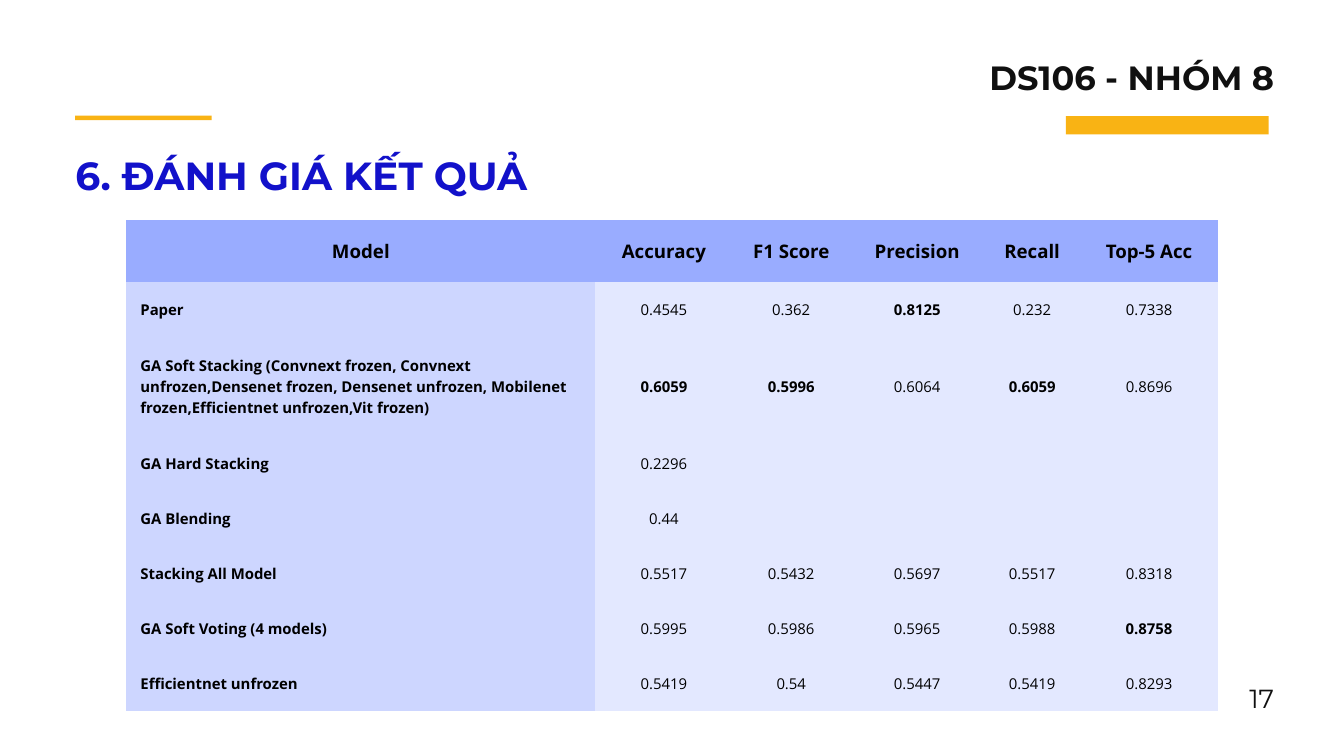
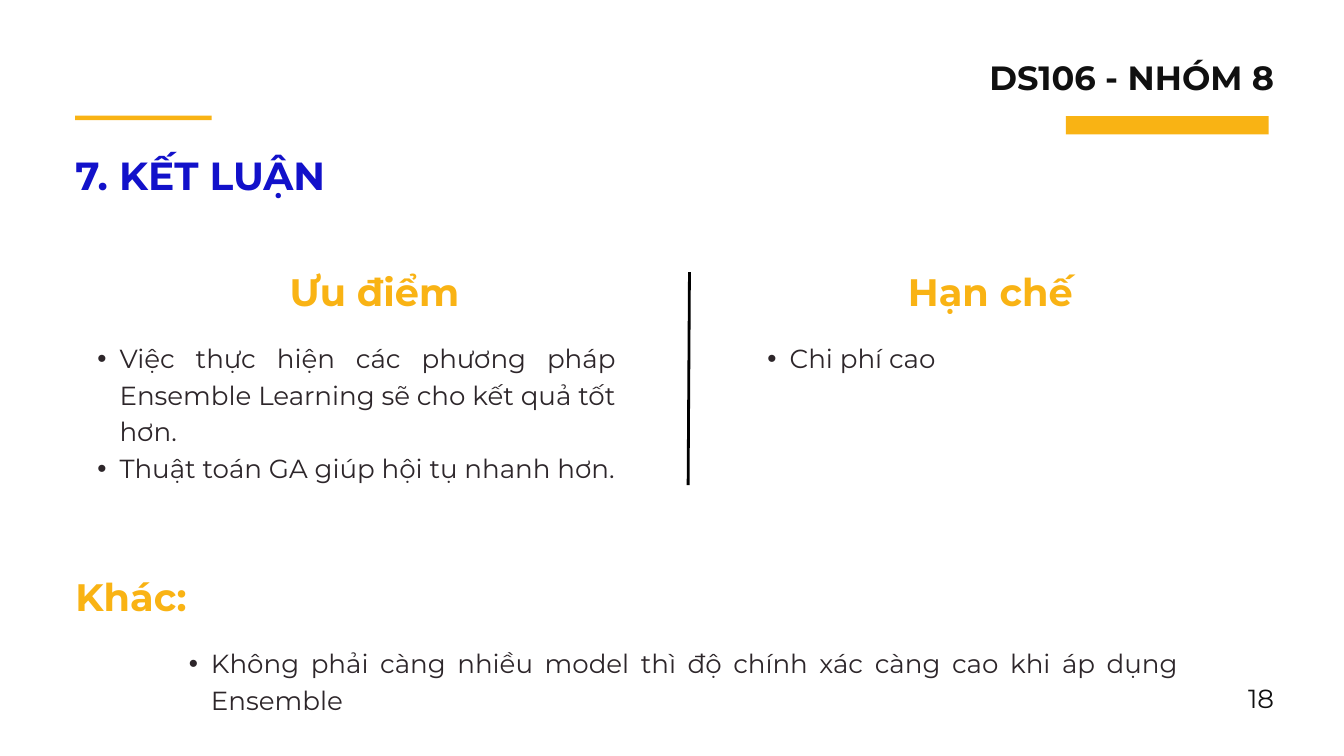
from collections import namedtuple

from lxml.etree import SubElement
from pptx import Presentation
from pptx.dml.color import RGBColor
from pptx.enum.shapes import MSO_CONNECTOR, MSO_SHAPE
from pptx.enum.text import MSO_ANCHOR, PP_ALIGN as ALIGN
from pptx.oxml.ns import qn
from pptx.util import Pt

PX = 9144  # 100 px to the inch
Box = namedtuple("Box", "left top width height")
PAGE = Box(0, 0, 2000, 1125)

WHITE = RGBColor(0xFF, 0xFF, 0xFF)
BLACK = RGBColor(0x00, 0x00, 0x00)
INK = RGBColor(0x10, 0x10, 0x10)
BODY_INK = RGBColor(0x2D, 0x26, 0x2A)
TITLE_BLUE = RGBColor(0x12, 0x11, 0xCA)
AMBER = RGBColor(0xF9, 0xB3, 0x14)
HEADER_FILL = RGBColor(0x99, 0xAC, 0xFF)
MODEL_FILL = RGBColor(0xCD, 0xD6, 0xFF)
SCORE_FILL = RGBColor(0xE3, 0xE8, 0xFF)

TEXT_FONT = "Montserrat"
TABLE_FONT = "Open Sans"
GROUP_NAME = "DS106 - NHÓM 8"
PLAIN_TABLE_STYLE = "{2D5ABB26-0587-4C30-8999-92F81FD0307C}"

COLUMN_WIDTHS = (698, 204, 175, 200, 142, 206)
HEADER_HEIGHT, ROW_HEIGHT, TALL_ROW_HEIGHT = 92, 82, 146
CELL_MARGIN = 21
COLUMN_NAMES = ("Model", "Accuracy", "F1 Score", "Precision", "Recall", "Top-5 Acc")
STACKING = ("GA Soft Stacking (Convnext frozen, Convnext unfrozen,Densenet frozen, "
            "Densenet unfrozen, Mobilenet frozen,Efficientnet unfrozen,Vit frozen)")
RESULTS = (
    ("Paper", "0.4545", "0.362", "0.8125", "0.232", "0.7338"),
    (STACKING, "0.6059", "0.5996", "0.6064", "0.6059", "0.8696"),
    ("GA Hard Stacking", "0.2296", "", "", "", ""),
    ("GA Blending", "0.44", "", "", "", ""),
    ("Stacking All Model", "0.5517", "0.5432", "0.5697", "0.5517", "0.8318"),
    ("GA Soft Voting (4 models)", "0.5995", "0.5986", "0.5965", "0.5988", "0.8758"),
    ("Efficientnet unfrozen", "0.5419", "0.54", "0.5447", "0.5419", "0.8293"),
)


def to_emu(lengths):
    return [length * PX for length in lengths]


def add_bullet(para):
    properties = para._p.get_or_add_pPr()
    properties.set("lvl", "1")
    properties.set("marL", str(66 * PX))
    properties.set("indent", str(-33 * PX))
    SubElement(properties, qn("a:buFont")).set("typeface", "Arial")
    SubElement(properties, qn("a:buChar")).set("char", "•")


def write(frame, *lines, size, color, spacing, font=TEXT_FONT, bold=False,
          align=ALIGN.LEFT, bullet=False):
    """Fill a text frame with one paragraph per line; spacing is in points."""
    for index, line in enumerate(lines):
        para = frame.add_paragraph() if index else frame.paragraphs[0]
        para.alignment = align
        para.line_spacing = Pt(spacing)
        if bullet:
            add_bullet(para)
        span = para.add_run()
        span.text = line
        span.font.name = font
        span.font.size = Pt(size)
        span.font.bold = bold
        span.font.color.rgb = color


def add_text(page, box, *lines, **text_format):
    frame = page.shapes.add_textbox(*to_emu(box)).text_frame
    frame.word_wrap = True
    frame.margin_left = frame.margin_top = frame.margin_right = frame.margin_bottom = 0
    write(frame, *lines, **text_format)


def add_bar(page, box):
    bar = page.shapes.add_shape(MSO_SHAPE.RECTANGLE, *to_emu(box))
    bar.shadow.inherit = False
    bar.fill.solid()
    bar.fill.fore_color.rgb = AMBER
    bar.line.fill.background()


def add_page(deck, title, number):
    """Add a page with its bars, group name, title and page number."""
    page = deck.slides.add_slide(deck.slide_layouts[6])
    page.background.fill.solid()
    page.background.fill.fore_color.rgb = WHITE
    left, right = PAGE.left + 112, PAGE.width - 104
    add_bar(page, Box(left, 172, 203, 7))
    add_bar(page, Box(right - 310, 173, 302, 27))
    add_text(page, Box(right - 511, 75, 511, 67), GROUP_NAME, size=36, color=INK,
             spacing=50.4, bold=True, align=ALIGN.RIGHT)
    add_text(page, Box(left, 241, 942, 58), title, size=42, color=TITLE_BLUE,
             spacing=39.5, bold=True)
    add_text(page, Box(right - 248, PAGE.height - 118, 248, 52), str(number), size=28,
             color=INK, spacing=39.2, align=ALIGN.RIGHT)
    return page


def fill_cell(cell, text, fill, **text_format):
    cell.fill.solid()
    cell.fill.fore_color.rgb = fill
    cell.vertical_anchor = MSO_ANCHOR.MIDDLE
    cell.margin_left = cell.margin_right = CELL_MARGIN * PX
    cell.margin_top = cell.margin_bottom = CELL_MARGIN * PX
    if text:
        write(cell.text_frame, text, font=TABLE_FONT, color=BLACK, **text_format)


def add_results_table(page, box):
    """Draw the score table, with the best score of each column in bold."""
    table = page.shapes.add_table(
        len(RESULTS) + 1, len(COLUMN_NAMES), *to_emu(box)).table
    table.first_row = table.horz_banding = False
    table._tbl.tblPr.find(qn("a:tableStyleId")).text = PLAIN_TABLE_STYLE
    for column, width in zip(table.columns, COLUMN_WIDTHS):
        column.width = width * PX
    table.rows[0].height = HEADER_HEIGHT * PX

    for index, name in enumerate(COLUMN_NAMES):
        fill_cell(table.cell(0, index), name, HEADER_FILL, size=20, spacing=28,
                  bold=True, align=ALIGN.CENTER)
    best = [max(scores) for scores in zip(*RESULTS)]
    for row, (model, *scores) in enumerate(RESULTS, start=1):
        height = TALL_ROW_HEIGHT if model == STACKING else ROW_HEIGHT
        table.rows[row].height = height * PX
        fill_cell(table.cell(row, 0), model, MODEL_FILL, size=16, spacing=22.4, bold=True)
        for column, score in enumerate(scores, start=1):
            fill_cell(table.cell(row, column), score, SCORE_FILL, size=16, spacing=22.4,
                      bold=score == best[column], align=ALIGN.CENTER)


def add_points(page, box, heading, *points, heading_shift):
    """Draw a heading, shifted sideways from the box, above its bullet points."""
    heading_height, step = 56, 88
    add_text(page, Box(box.left + heading_shift, box.top, 268, heading_height), heading,
             size=41, color=AMBER, spacing=38.5, bold=True)
    add_text(page, Box(box.left, box.top + step, box.width, box.height - step), *points,
             size=28, color=BODY_INK, spacing=39.2, align=ALIGN.JUSTIFY, bullet=True)


def add_divider(page, start, end):
    divider = page.shapes.add_connector(MSO_CONNECTOR.STRAIGHT, *to_emu(start + end))
    divider.line.color.rgb = BLACK
    divider.line.width = Pt(3)
    SubElement(divider._element.spPr, qn("a:effectLst"))


def add_conclusion(page):
    add_points(page, Box(112, 414, 804, 356), "Ưu điểm",
               "Việc thực hiện các phương pháp Ensemble Learning sẽ cho kết quả tốt hơn.",
               "Thuật toán GA giúp hội tụ nhanh hơn.", heading_shift=319)
    add_points(page, Box(1109, 414, 847, 140), "Hạn chế", "Chi phí cao",
               heading_shift=242)
    add_divider(page, (1026, 405), (1024, 722))
    add_points(page, Box(248, 868, 1505, 194), "Khác:",
               "Không phải càng nhiều model thì độ chính xác càng cao khi áp dụng Ensemble",
               heading_shift=-136)


def main():
    deck = Presentation()
    deck.slide_width, deck.slide_height = PAGE.width * PX, PAGE.height * PX
    add_results_table(add_page(deck, "6. ĐÁNH GIÁ KẾT QUẢ", 17), Box(188, 328, 1625, 730))
    add_conclusion(add_page(deck, "7. KẾT LUẬN", 18))
    deck.save("out.pptx")


if __name__ == "__main__":
    main()
